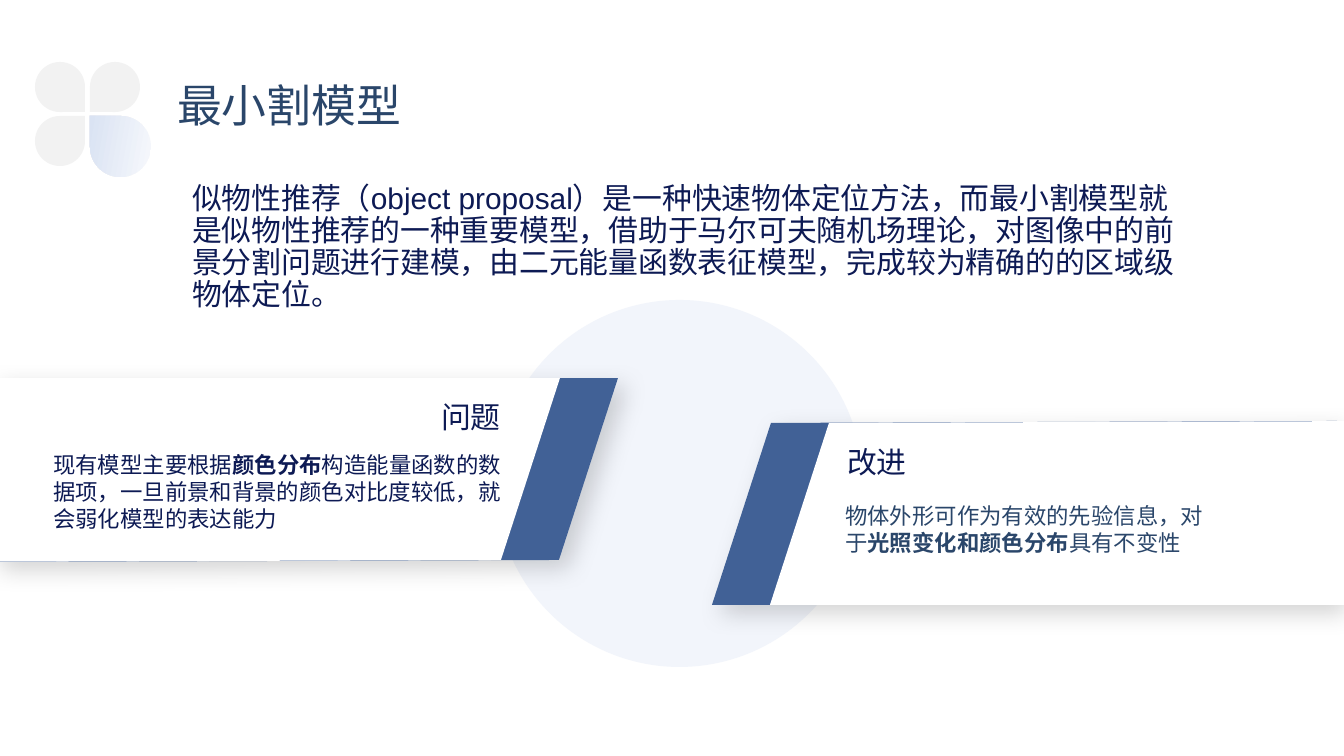
"""Build the slide that introduces the minimum cut model."""
from lxml.etree import SubElement
from pptx import Presentation
from pptx.dml.color import RGBColor
from pptx.enum.shapes import MSO_SHAPE as SHAPE
from pptx.oxml.ns import qn
from pptx.util import Pt

PX = 9144000 / 1344
COLORS = {
    "petal": "F2F2F2", "light": "F6F8FC", "pale": "DAE3F3", "disc": "F2F5FB",
    "blue": "416196", "white": "FFFFFF", "navy": "0D1A54", "slate": "2A466A",
    "shadow": "000000",
}
BANNER = [(-7, 378), (618, 378), (559, 560), (-7, 562)]
STRIPE = 58


def px(n):
    return round(n * PX)


def rgb(name):
    return RGBColor.from_string(COLORS[name])


def paint(sp, color):
    sp.shadow.inherit = False
    sp.fill.solid()
    sp.fill.fore_color.rgb = rgb(color)
    sp.line.fill.background()


def add_shape(s, kind, x, y, size, color, flips=()):
    sp = s.shapes.add_shape(kind, px(x), px(y), px(size), px(size))
    paint(sp, color)
    xfrm = sp._element.spPr.find(qn("a:xfrm"))
    for flip in flips:
        xfrm.set(flip, "1")
    return sp


def add_flower(s):
    add_shape(s, SHAPE.TEAR, 35, 116, 50, "petal")
    add_shape(s, SHAPE.TEAR, 90, 62, 50, "petal", ("flipH", "flipV"))
    add_shape(s, SHAPE.TEAR, 35, 62, 50, "petal", ("flipV",))
    sp = add_shape(s, SHAPE.TEAR, 90, 116, 61, "pale", ("flipH",))
    sp.fill.gradient()
    sp.fill.gradient_angle = 10
    for stop, color in zip(sp.fill.gradient_stops, ("light", "pale")):
        stop.color.rgb = rgb(color)


def add_polygon(s, points, color):
    start, *rest = [(px(x), px(y)) for x, y in points]
    builder = s.shapes.build_freeform(*start)
    builder.add_line_segments(rest, close=True)
    sp = builder.convert_to_shape()
    paint(sp, color)
    return sp


def add_shadow(sp):
    effects = sp._element.spPr.find(qn("a:effectLst"))
    shadow = SubElement(effects, qn("a:outerShdw"), {
        "blurRad": str(Pt(13)), "dist": str(Pt(6)), "dir": str(45 * 60000),
        "algn": "tl", "rotWithShape": "0"})
    color = SubElement(shadow, qn("a:srgbClr"), val=COLORS["shadow"])
    SubElement(color, qn("a:alpha"), val="16000")


def add_banner(s, points, shift):
    add_shadow(add_polygon(s, points, "blue"))
    add_polygon(s, [(x + shift, y) for x, y in points], "white")


def add_text(s, box, runs, size, color, spacing=1.0):
    tf = s.shapes.add_textbox(*map(px, box)).text_frame
    tf.word_wrap = True
    p = tf.paragraphs[0]
    p.line_spacing = spacing
    for text, bold in runs:
        r = p.add_run()
        r.text = text
        fmt = {"name": "Arial", "size": Pt(size), "bold": bold}
        for key, value in fmt.items():
            setattr(r.font, key, value)
        r.font.color.rgb = rgb(color)


def main():
    prs = Presentation()
    prs.slide_width, prs.slide_height = px(1344), px(756)
    s = prs.slides.add_slide(prs.slide_layouts[6])

    add_flower(s)
    add_text(s, (164, 77, 677, 90), [("最小割模型", False)], 24, "slate", 0.9)
    add_shape(s, SHAPE.OVAL, 496, 300, 367, "disc")
    add_banner(s, BANNER, -STRIPE)
    add_banner(s, [(1330 - x, 983 - y) for x, y in BANNER], STRIPE)

    add_text(s, (428, 396, 100, 46), [("问题", False)], 16, "navy", 0.9)
    add_text(s, (834, 441, 100, 46), [("改进", False)], 16, "navy", 0.9)
    add_text(s, (40, 445, 496, 91), [
        ("现有模型主要根据", False),
        ("颜色分布", True),
        ("构造能量函数的数据项，一旦前景和背景的颜色对比度较低，"
         "就会弱化模型的表达能力", False),
    ], 12, "navy")
    add_text(s, (832, 496, 402, 67), [
        ("物体外形可作为有效的先验信息，对于", False),
        ("光照变化和颜色分布", True),
        ("具有不变性", False),
    ], 12, "slate")
    add_text(s, (179, 177, 1030, 151), [
        ("似物性推荐（object proposal）是一种快速物体定位方法，"
         "而最小割模型就是似物性推荐的一种重要模型，借助于马尔可夫随机场理论，"
         "对图像中的前景分割问题进行建模，由二元能量函数表征模型，"
         "完成较为精确的的区域级物体定位。", False),
    ], 16, "navy", 0.9)

    prs.save("out.pptx")


if __name__ == "__main__":
    main()
